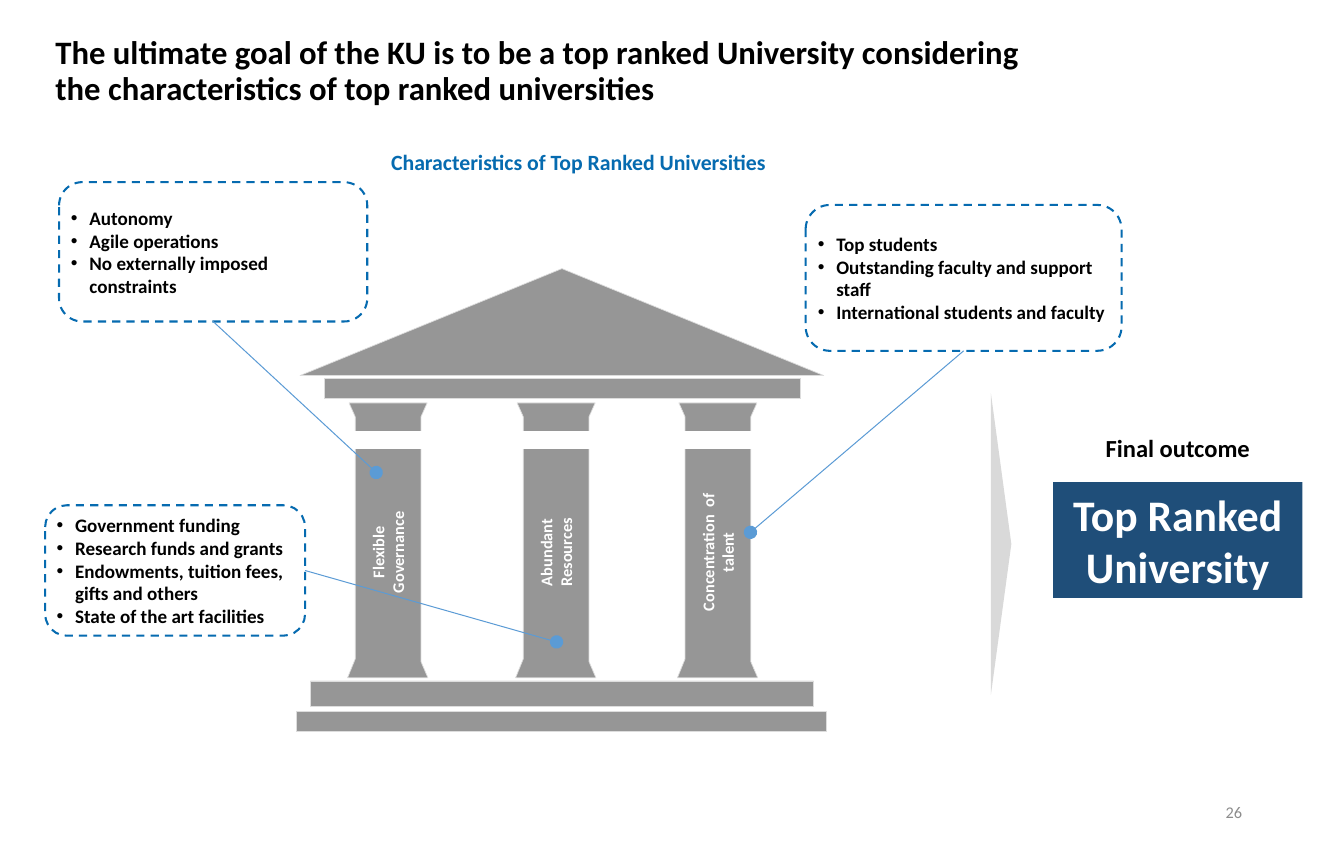
from pptx import Presentation
from pptx.util import Cm, Inches, Pt
from pptx.dml.color import RGBColor
from pptx.enum.dml import MSO_LINE
from pptx.enum.shapes import MSO_CONNECTOR, MSO_SHAPE
from pptx.enum.text import MSO_ANCHOR, PP_ALIGN
from pptx.oxml.ns import qn
from lxml.etree import SubElement

# Content: places are left, top, width, height in cm
SIZE = (Inches(13.7), Inches(8.7))
TITLE = ("The ultimate goal of the KU is to be a top ranked University "
         "considering the characteristics of top ranked universities")
TEXTS = [
    ("Characteristics of Top Ranked Universities", (9.81, 3.73, 10.34, 0.94), "head"),
    ("Final outcome", (27.97, 11.08, 5.05, 1.02), "label"),
    ("26", (24.59, 20.45, 7.82, 1.17), "page"),
]
OUTCOME = ("Top Ranked University", (27.27, 12.49, 6.45, 3.0))
ARROW = (22.01, 13.83, 7.82, 0.53)
ROOF = (7.77, 6.96, 13.56, 2.77)
SLABS = [(8.39, 9.8, 12.34, 0.53), (8.04, 17.64, 13.03, 0.66),
         (7.67, 18.44, 13.72, 0.51)]
GAP = (8.0, 11.17, 13.16, 0.46)
PILLARS = [("Flexible Governance", 9.0), ("Abundant Resources", 13.35),
           ("Concentration  of talent", 17.54)]
PILLAR_TOP, PILLAR_WIDTH = 10.44, 2.08
OUTLINE = [(0.04, 0), (2.06, 0), (1.9, 0.36), (1.9, 6.7), (2.08, 7.12),
           (0, 7.12), (0.2, 6.63), (0.2, 0.36)]
LABEL_SIZE, LABEL_MID = (3.4, 1.02), 14.31
BOTTOM, RIGHT = 2, 3  # connection sites of a rounded box
CALLOUTS = [
    (["Top students", "Outstanding faculty and support staff",
      "International students and faculty"],
     (20.86, 5.31, 8.18, 3.78), BOTTOM, (19.43, 13.79)),
    (["Autonomy", "Agile operations", "No externally imposed constraints"],
     (1.53, 4.72, 7.98, 3.61), BOTTOM, (9.74, 12.24)),
    (["Government funding", "Research funds and grants",
      "Endowments, tuition fees, gifts and others",
      "State of the art facilities"],
     (1.17, 13.09, 6.73, 3.38), RIGHT, (14.41, 16.63)),
]

# Theme: colours, and size, colour, bold and alignment of each text style
THEME = {
    "font": "Calibri", "stone": "969696", "edge": "DDDDDD", "white": "FFFFFF",
    "dash": "066BB0", "link": "5B9BD5", "arrow": "D9D9D9", "navy": "1F4E79",
    "title": (24, "000000", True, PP_ALIGN.LEFT),
    "head": (16, "066BB0", True, PP_ALIGN.CENTER),
    "label": (18, "000000", True, PP_ALIGN.CENTER),
    "list": (14, "000000", True, PP_ALIGN.LEFT),
    "pillar": (12, "FFFFFF", True, PP_ALIGN.CENTER),
    "goal": (32, "FFFFFF", True, PP_ALIGN.CENTER),
    "page": (12, "8C8C8C", False, PP_ALIGN.RIGHT),
}


def rgb(name):
    return RGBColor.from_string(THEME[name])


def cms(place):
    return [Cm(n) for n in place]


def paint(shape, fill, line=None, width=0.5):
    shape.shadow.inherit = False
    shape.fill.solid()
    shape.fill.fore_color.rgb = rgb(fill)
    if line:
        shape.line.color.rgb = rgb(line)
        shape.line.width = Pt(width)
    else:
        shape.line.fill.background()


def block(slide, kind, place, *look):
    shape = slide.shapes.add_shape(kind, *cms(place))
    paint(shape, *look)
    return shape


def write(shape, lines, style, inset=None, bullet=False):
    frame = shape.text_frame
    form = {"word_wrap": True, "vertical_anchor": MSO_ANCHOR.MIDDLE}
    if inset is not None:
        sides = ("left", "right", "top", "bottom")
        form.update({f"margin_{side}": Cm(inset) for side in sides})
    for key, value in form.items():
        setattr(frame, key, value)
    size, color, bold, align = THEME[style]
    for i, line in enumerate(lines):
        para = frame.paragraphs[0] if i == 0 else frame.add_paragraph()
        para.text, para.alignment = line, align
        if bullet:
            props = para._p.get_or_add_pPr()
            props.set("marL", str(Cm(0.48)))
            props.set("indent", str(-Cm(0.48)))
            SubElement(props, qn("a:buFont"), typeface="Arial")
            SubElement(props, qn("a:buChar"), char="•")
        font = {"name": THEME["font"], "size": Pt(size), "bold": bold}
        for key, value in font.items():
            setattr(para.font, key, value)
        para.font.color.rgb = RGBColor.from_string(color)


def temple(slide):
    block(slide, MSO_SHAPE.ISOSCELES_TRIANGLE, ROOF, "stone", "edge")
    for place in SLABS:
        block(slide, MSO_SHAPE.RECTANGLE, place, "stone", "edge")
    wide, high = LABEL_SIZE
    for name, left in PILLARS:
        points = [(Cm(left + x), Cm(PILLAR_TOP + y)) for x, y in OUTLINE]
        pen = slide.shapes.build_freeform(*points[0])
        pen.add_line_segments(points[1:], close=True)
        paint(pen.convert_to_shape(), "stone", "edge")
        mid = left + PILLAR_WIDTH / 2
        label = slide.shapes.add_textbox(
            *cms((mid - wide / 2, LABEL_MID - high / 2, wide, high)))
        label.rotation = 270
        write(label, [name], "pillar", inset=0)
    block(slide, MSO_SHAPE.RECTANGLE, GAP, "white")


def callout(slide, lines, place, site, target):
    box = block(slide, MSO_SHAPE.ROUNDED_RECTANGLE, place, "white", "dash", 1.5)
    box.line.dash_style = MSO_LINE.DASH
    write(box, lines, "list", inset=0.13, bullet=True)
    link = slide.shapes.add_connector(
        MSO_CONNECTOR.STRAIGHT, 0, 0, *cms(target))
    link.begin_connect(box, site)
    link.line.color.rgb = rgb("link")
    link.line.width = Pt(0.75)
    SubElement(link.line._get_or_add_ln(), qn("a:tailEnd"),
               type="oval", w="lg", len="lg")
    SubElement(link._element.spPr, qn("a:effectLst"))


def main():
    deck = Presentation()
    deck.slide_width, deck.slide_height = SIZE
    slide = deck.slides.add_slide(deck.slide_layouts[5])

    # Title
    title = slide.shapes.title
    spot = zip(("left", "top", "width", "height"), (1.18, 0.85, 26.67, 2.03))
    for key, value in spot:
        setattr(title, key, Cm(value))
    write(title, [TITLE], "title")
    title.text_frame.paragraphs[0].line_spacing = 0.9

    # Temple and its callouts
    temple(slide)
    for item in CALLOUTS:
        callout(slide, *item)

    # Outcome
    arrow = block(slide, MSO_SHAPE.ISOSCELES_TRIANGLE, ARROW, "arrow")
    arrow.rotation = 90
    goal, place = OUTCOME
    write(block(slide, MSO_SHAPE.RECTANGLE, place, "navy"), [goal], "goal")

    # Headings and page number
    for text, place, style in TEXTS:
        write(slide.shapes.add_textbox(*cms(place)), [text], style)

    deck.save("out.pptx")


if __name__ == "__main__":
    main()
